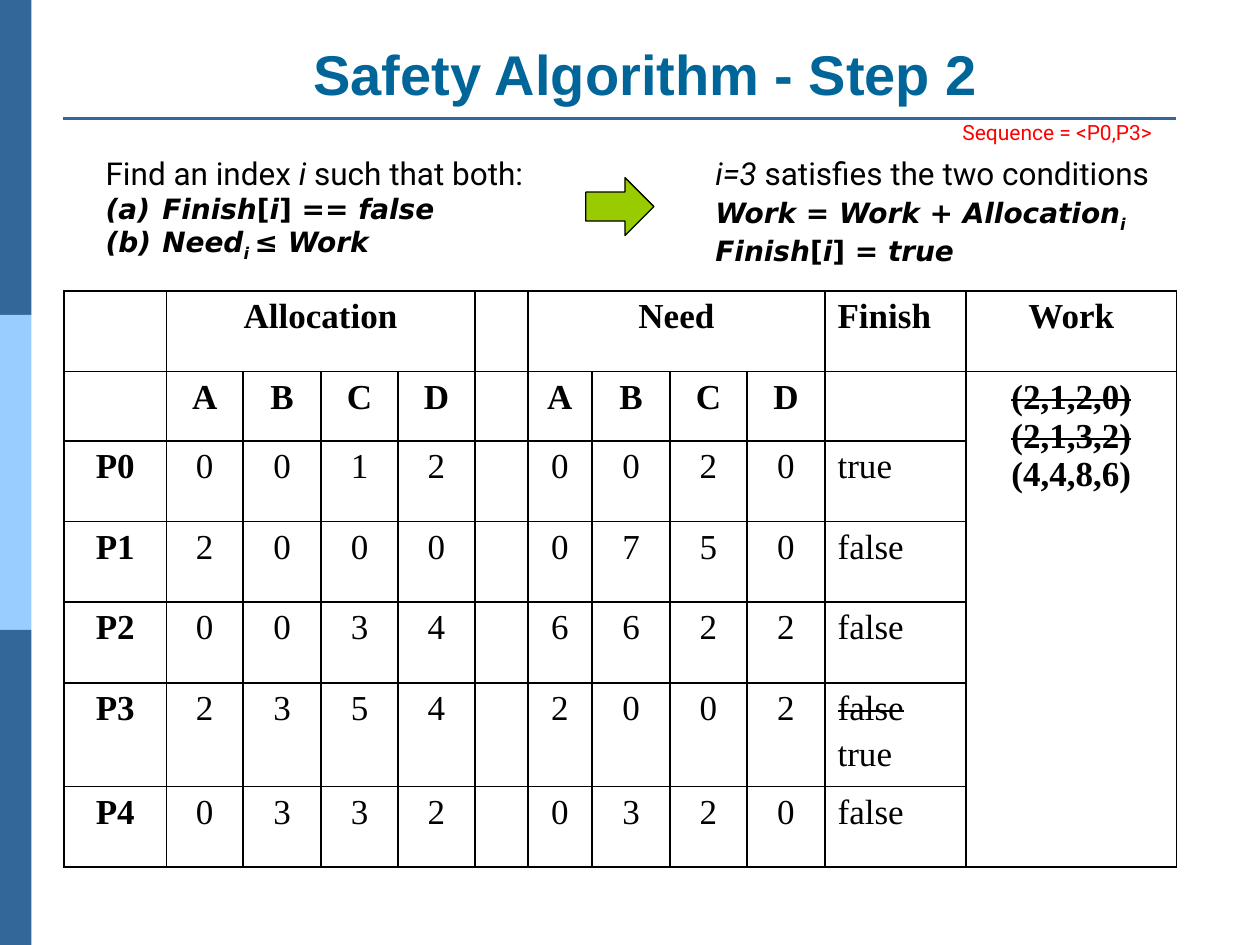
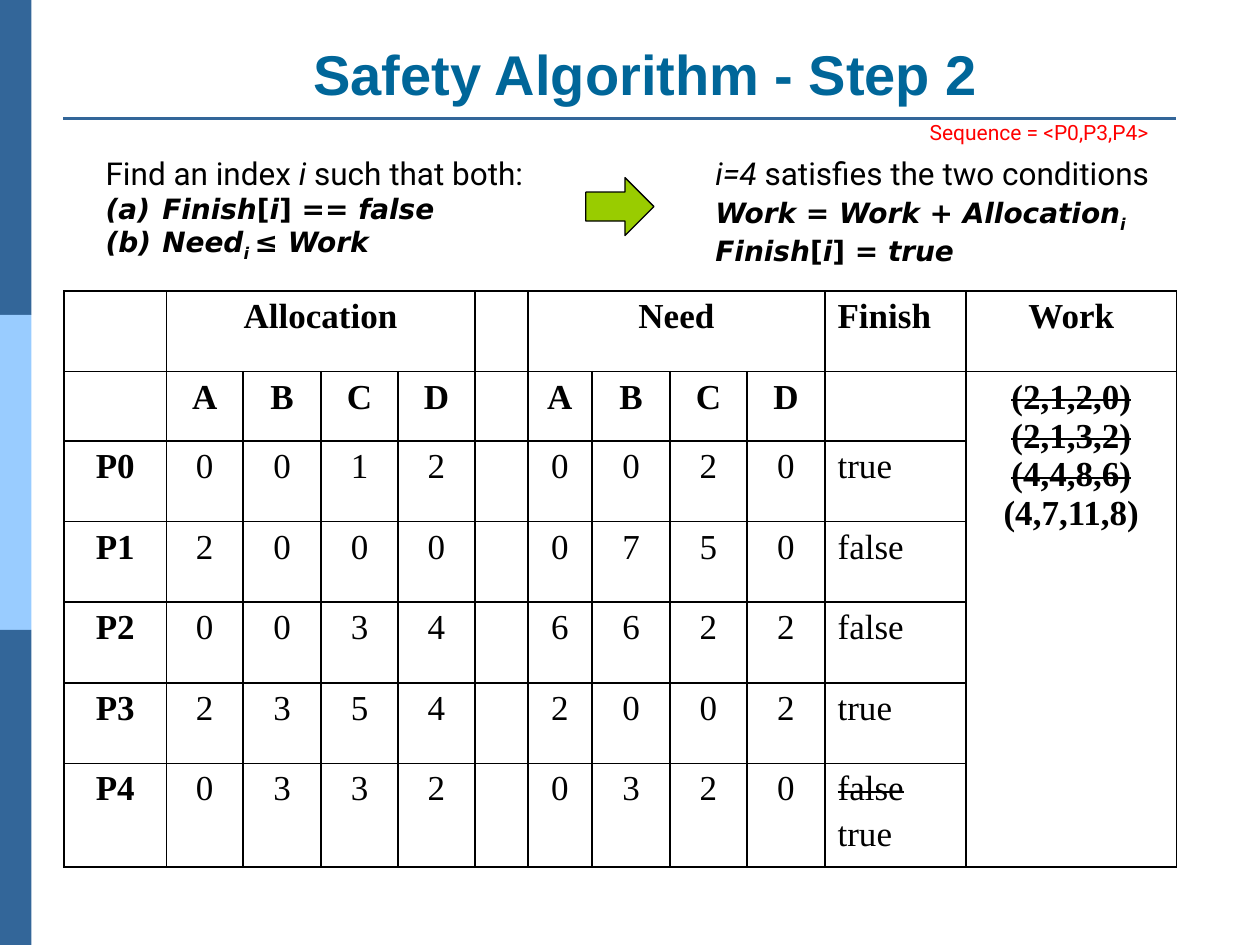
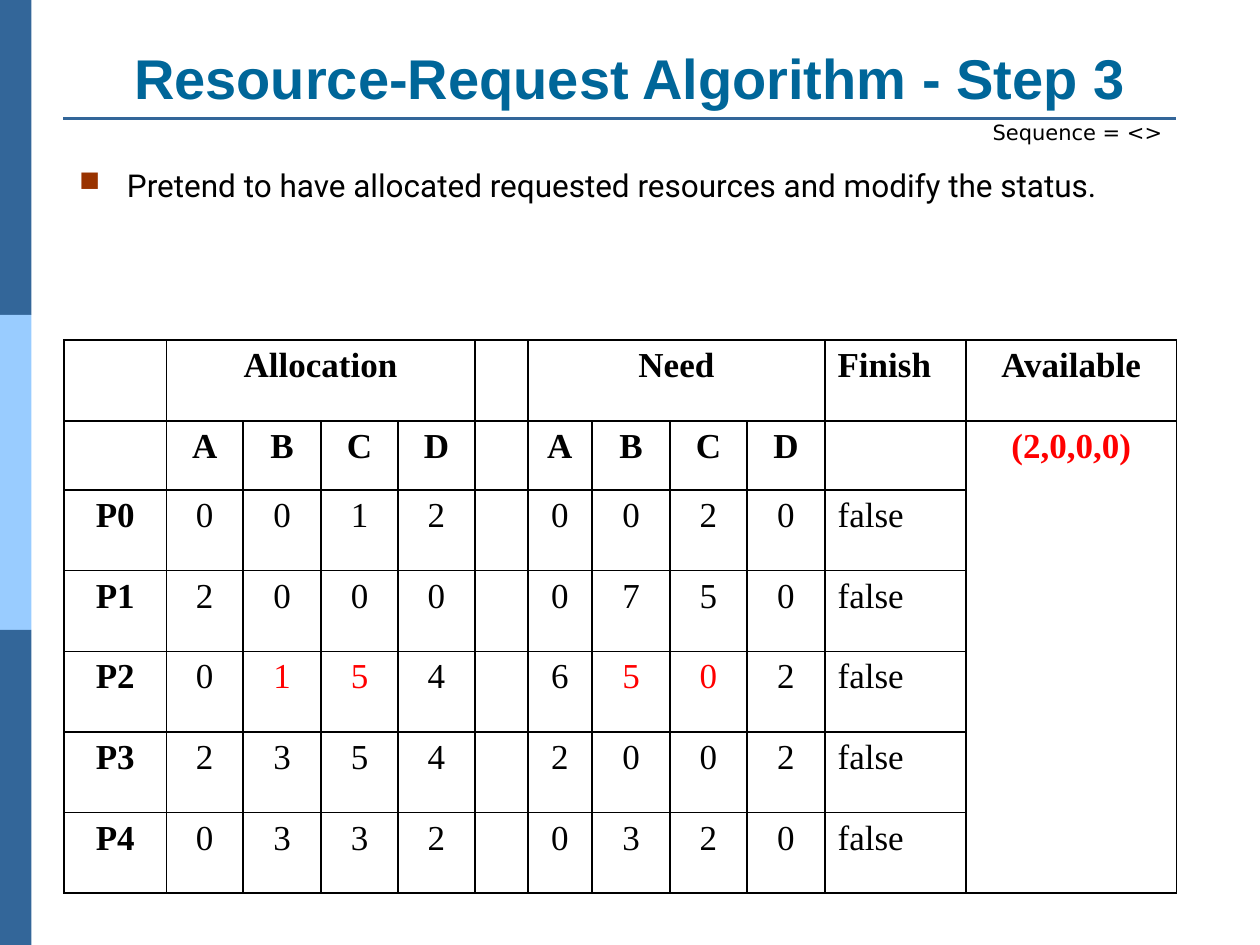
from dataclasses import dataclass

from lxml.etree import SubElement
from pptx import Presentation
from pptx.dml.color import RGBColor as RGB
from pptx.enum.shapes import MSO_CONNECTOR as Connector, MSO_SHAPE as Shape
from pptx.enum.text import MSO_ANCHOR as Anchor, MSO_AUTO_SIZE as AutoSize, PP_ALIGN as Align
from pptx.oxml.ns import qn
from pptx.util import Inches, Pt


@dataclass(frozen=True)
class Theme:
    band: str = "336699"
    band_light: str = "99CCFF"
    title: str = "006699"
    text: str = "000000"
    accent: str = "FF0000"
    arrow: str = "99CC00"
    bullet: str = "993300"
    title_font: str = "Arial"
    body_font: str = "Roboto"
    math_font: str = "DejaVu Sans"
    table_font: str = "Times New Roman"
    title_size: int = 32
    table_size: int = 20
    body_size: int = 18
    math_size: int = 16
    note_size: int = 12


THEME = Theme()

# Content: the last entry of a Finish or Work list is current, earlier ones are struck out
PROCESSES = ["P0", "P1", "P2", "P3", "P4"]
RESOURCES = ["A", "B", "C", "D"]
ALLOCATION = ["0012", "2000", "0034", "2354", "0332"]
NEED = ["0020", "0750", "6622", "2002", "0320"]

SAFETY_TITLE = "Safety Algorithm - Step 2"
SAFETY_STEPS = [
    {
        "index": 3,
        "sequence": "Sequence = <P0,P3>",
        "sequence_at": (7.54, 0.9, 1.8, 0.3),
        "finish": [["true"], ["false"], ["false"], ["false", "true"], ["false"]],
        "work": ["(2,1,2,0)", "(2,1,3,2)", "(4,4,8,6)"],
    },
    {
        "index": 4,
        "sequence": "Sequence = <P0,P3,P4>",
        "sequence_at": (7.28, 0.9, 2.05, 0.3),
        "finish": [["true"], ["false"], ["false"], ["true"], ["false", "true"]],
        "work": ["(2,1,2,0)", "(2,1,3,2)", "(4,4,8,6)", "(4,7,11,8)"],
    },
]
REQUEST = {
    "title": "Resource-Request Algorithm - Step 3",
    "sequence": "Sequence = <>",
    "point": "Pretend to have allocated requested resources and modify the status.",
    "allocation": ["0012", "2000", "0154", "2354", "0332"],
    "need": ["0020", "0750", "6502", "2002", "0320"],
    "finish": [["false"]] * 5,
    "available": ["(2,0,0,0)"],
    "changed": {("P2", "B"), ("P2", "C")},
}

# Formulas as (text, style): b bold, i italic, _ subscript
CONDITIONS = [
    [("Finish", "bi"), ("[", "b"), ("i", "bi"), ("] == ", "b"), ("false", "bi")],
    [("Need", "bi"), ("i ", "bi_"), ("≤ ", "b"), ("Work", "bi")],
]
UPDATES = [
    [("Work", "bi"), (" = ", "b"), ("Work", "bi"), (" + ", "b"), ("Allocation", "bi"), ("i", "bi_")],
    [("Finish", "bi"), ("[", "b"), ("i", "bi"), ("] = ", "b"), ("true", "bi")],
]

# Table geometry
COLUMN_WIDTHS = [0.81, 0.61, 0.62, 0.61, 0.61, 0.42, 0.51, 0.62, 0.61, 0.62, 1.12, 1.67]
ROW_HEIGHTS = [0.64, 0.55] + [0.64] * len(PROCESSES)
ALLOCATION_COL, NEED_COL, FINISH_COL, WORK_COL = 1, 6, 10, 11


# Text helpers
def add_span(para, text, font, size, style="", color=THEME.text):
    span = para.add_run()
    span.text = text
    span.font.name, span.font.size = font, Pt(size)
    span.font.color.rgb = RGB.from_string(color)
    span.font.bold, span.font.italic = "b" in style, "i" in style
    props = span._r.get_or_add_rPr()
    if "s" in style:
        props.set("strike", "sngStrike")
    if "_" in style:
        props.set("baseline", "-25000")


def add_formula(para, formula):
    for text, style in formula:
        add_span(para, text, THEME.math_font, THEME.math_size, style)


def add_box(page, place, wrap=True):
    frame = page.shapes.add_textbox(*map(Inches, place)).text_frame
    frame.word_wrap = wrap
    frame.auto_size = AutoSize.SHAPE_TO_FIT_TEXT
    return frame


def hang(para, indent):
    props = para._p.get_or_add_pPr()
    props.set("marL", str(Inches(indent)))
    props.set("indent", str(-Inches(indent)))
    return props


# Shared frame of every slide
def add_filled(page, kind, place, color):
    shape = page.shapes.add_shape(kind, *map(Inches, place))
    shape.shadow.inherit = False
    shape.fill.solid()
    shape.fill.fore_color.rgb = RGB.from_string(color)
    shape.line.fill.background()
    return shape


def decorate_layout(layout, page):
    """Draw the side bands and title rule on a page, then move them to its layout."""
    for holder in list(layout.placeholders)[1:]:
        layout.shapes.element.remove(holder.element)
    parts = [
        add_filled(page, Shape.RECTANGLE, (0, 2.5 * row, 0.25, 2.5), color)
        for row, color in enumerate([THEME.band, THEME.band_light, THEME.band])
    ]
    ends = map(Inches, (0.5, 0.94, 9.33, 0.94))
    rule = page.shapes.add_connector(Connector.STRAIGHT, *ends)
    rule.line.color.rgb = RGB.from_string(THEME.band)
    rule.line.width = Pt(1.5)
    SubElement(rule.element.spPr, qn("a:effectLst"))
    for part in parts + [rule]:
        layout.shapes.element.append(part.element)


def set_title(page, text, place):
    title = page.shapes.title
    title.left, title.top, title.width, title.height = map(Inches, place)
    frame = title.text_frame
    frame.auto_size, frame.vertical_anchor = AutoSize.NONE, Anchor.BOTTOM
    para = frame.paragraphs[0]
    para.alignment = Align.CENTER
    add_span(para, text, THEME.title_font, THEME.title_size, "b", THEME.title)


def add_sequence(page, text, place, font, color):
    frame = add_box(page, place, wrap=False)
    add_span(frame.paragraphs[0], text, font, THEME.note_size, color=color)


# State table
def style_cell(cell):
    props = cell._tc.get_or_add_tcPr()
    for side in ("lnL", "lnR", "lnT", "lnB"):
        edge = SubElement(props, qn(f"a:{side}"), w=str(Pt(1)))
        fill = SubElement(edge, qn("a:solidFill"))
        SubElement(fill, qn("a:srgbClr"), val=THEME.text)
    cell.fill.background()


def write_cell(cell, lines, style="", color=THEME.text, align=Align.CENTER, gap=0):
    for number, text in enumerate(lines):
        para = cell.text_frame.add_paragraph() if number else cell.text_frame.paragraphs[0]
        para.alignment = align
        if number:
            para.space_before = Pt(gap)
        struck = "s" if number < len(lines) - 1 else ""
        add_span(para, text, THEME.table_font, THEME.table_size, style + struck, color)


def add_state_table(page, top, allocation, need, finish, work_head, work,
                    work_color=THEME.text, changed=()):
    place = (0.51, top, sum(COLUMN_WIDTHS), sum(ROW_HEIGHTS))
    table = page.shapes.add_table(
        len(ROW_HEIGHTS), len(COLUMN_WIDTHS), *map(Inches, place)).table
    table.first_row = table.horz_banding = False
    for column, width in zip(table.columns, COLUMN_WIDTHS):
        column.width = Inches(width)
    for row, height in zip(table.rows, ROW_HEIGHTS):
        row.height = Inches(height)
    for cell in table.iter_cells():
        style_cell(cell)

    # Headings and the tall work column
    last = len(RESOURCES) - 1
    groups = [(ALLOCATION_COL, "Allocation", allocation), (NEED_COL, "Need", need)]
    for start, heading, _ in groups:
        table.cell(0, start).merge(table.cell(0, start + last))
        write_cell(table.cell(0, start), [heading], "b")
        for offset, resource in enumerate(RESOURCES):
            write_cell(table.cell(1, start + offset), [resource], "b")
    write_cell(table.cell(0, FINISH_COL), ["Finish"], "b", align=Align.LEFT)
    write_cell(table.cell(0, WORK_COL), [work_head], "b")
    table.cell(1, WORK_COL).merge(table.cell(len(ROW_HEIGHTS) - 1, WORK_COL))
    write_cell(table.cell(1, WORK_COL), work, "b", work_color)

    # One row per process
    for number, process in enumerate(PROCESSES):
        row = number + 2
        write_cell(table.cell(row, 0), [process], "b")
        for start, _, values in groups:
            for offset, (resource, value) in enumerate(zip(RESOURCES, values[number])):
                color = THEME.accent if (process, resource) in changed else THEME.text
                write_cell(table.cell(row, start + offset), [value], color=color)
        write_cell(table.cell(row, FINISH_COL), finish[number], align=Align.LEFT, gap=4)


# Slides
def fill_safety(page, step):
    set_title(page, SAFETY_TITLE, (0.51, 0.17, 9.23, 0.73))
    add_sequence(page, step["sequence"], step["sequence_at"], THEME.body_font, THEME.accent)
    add_state_table(page, 2.31, ALLOCATION, NEED, step["finish"], "Work", step["work"])

    search = add_box(page, (0.74, 1.17, 5, 0.94))
    for text, style in [("Find an index ", ""), ("i ", "i"), ("such that both:", "")]:
        add_span(search.paragraphs[0], text, THEME.body_font, THEME.body_size, style)
    for condition in CONDITIONS:
        para = search.add_paragraph()
        SubElement(hang(para, 0.45), qn("a:buAutoNum"), type="alphaLcParenBoth")
        add_formula(para, condition)

    arrow = add_filled(page, Shape.RIGHT_ARROW, (4.65, 1.41, 0.54, 0.46), THEME.arrow)
    arrow.line.color.rgb = RGB.from_string(THEME.text)
    arrow.line.width = Pt(0.75)

    found = add_box(page, (5.58, 1.17, 3.91, 0.4)).paragraphs[0]
    add_span(found, f"i={step['index']}", THEME.body_font, THEME.body_size, "i")
    add_span(found, " satisfies the two conditions", THEME.body_font, THEME.body_size)

    update = add_box(page, (5.58, 1.5, 3.75, 0.64)).paragraphs[0]
    for number, formula in enumerate(UPDATES):
        if number:
            update.add_line_break()
        add_formula(update, formula)


def fill_request(page):
    set_title(page, REQUEST["title"], (0.5, 0.3, 9, 0.63))
    add_state_table(page, 2.7, REQUEST["allocation"], REQUEST["need"], REQUEST["finish"],
                    "Available", REQUEST["available"], THEME.accent, REQUEST["changed"])
    add_sequence(page, REQUEST["sequence"], (7.78, 0.9, 1.56, 0.3), THEME.math_font, THEME.text)

    point = add_box(page, (0.53, 1.27, 9, 0.65)).paragraphs[0]
    props = hang(point, 0.38)
    SubElement(SubElement(props, qn("a:buClr")), qn("a:srgbClr"), val=THEME.bullet)
    SubElement(props, qn("a:buSzPct"), val="90000")
    SubElement(props, qn("a:buChar"), char="■")
    add_span(point, REQUEST["point"], THEME.body_font, THEME.body_size)


def main():
    deck = Presentation()
    deck.slide_width, deck.slide_height = Inches(10), Inches(7.5)
    layout = deck.slide_layouts.get_by_name("Title Only")
    pages = [deck.slides.add_slide(layout) for _ in range(len(SAFETY_STEPS) + 1)]
    decorate_layout(layout, pages[0])
    for page, step in zip(pages, SAFETY_STEPS):
        fill_safety(page, step)
    fill_request(pages[-1])
    deck.save("out.pptx")


if __name__ == "__main__":
    main()
